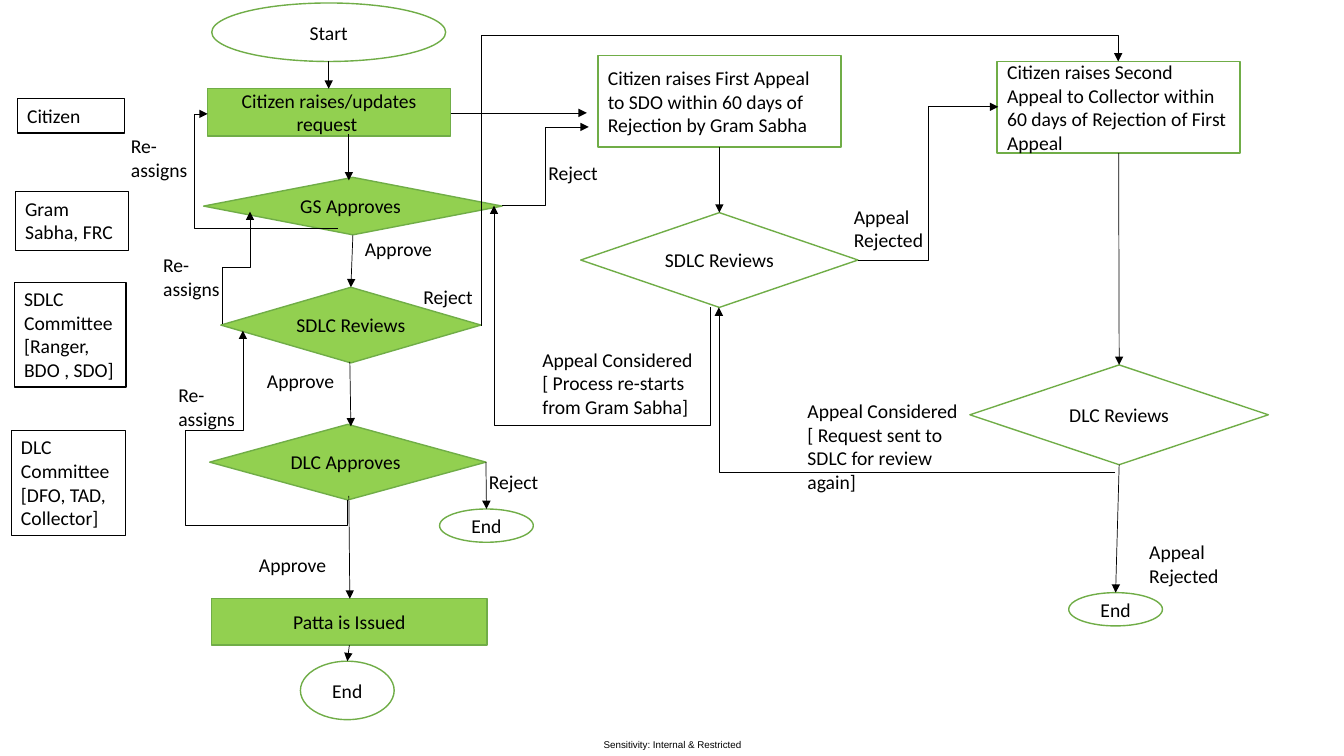
import pptx
import pptx.util
import pptx.dml.color
import pptx.enum.shapes
import pptx.enum.text
import pptx.oxml
import pptx.oxml.ns

RGBColor = pptx.dml.color.RGBColor
BLACK = RGBColor(0x00, 0x00, 0x00)
WHITE = RGBColor(0xFF, 0xFF, 0xFF)
LIME = RGBColor(0x92, 0xD0, 0x50)
GREEN = RGBColor(0x70, 0xAD, 0x47)

KIND = pptx.enum.shapes.MSO_SHAPE
BOX, RHOMB, OVAL = KIND.RECTANGLE, KIND.DIAMOND, KIND.OVAL
WIRE = pptx.enum.shapes.MSO_CONNECTOR
ALIGN = pptx.enum.text.PP_ALIGN
ANCHOR = pptx.enum.text.MSO_ANCHOR
FIT = pptx.enum.text.MSO_AUTO_SIZE

WIDE = pptx.util.Inches(13.33)
HIGH = pptx.util.Inches(7.5)
COLS, ROWS = 133.3, 75
TOP, LEFT, BASE, RIGHT = range(4)


def grid(x, y):
    return round(x * WIDE / COLS), round(y * HIGH / ROWS)


def write(shape, text, size=14, font="Calibri", color=BLACK,
          align=ALIGN.LEFT, anchor=ANCHOR.TOP, grow=False, inset=None):
    frame = shape.text_frame
    frame.text = text
    frame.word_wrap = True
    frame.vertical_anchor = anchor
    frame.auto_size = FIT.SHAPE_TO_FIT_TEXT if grow else FIT.NONE
    if inset is not None:
        frame.margin_left = frame.margin_right = inset
        frame.margin_top = frame.margin_bottom = inset
    for para in frame.paragraphs:
        para.alignment = align
        for run in para.runs:
            run.font.size = pptx.util.Pt(size)
            run.font.name = font
            run.font.color.rgb = color


def node(slide, kind, x, y, w, h, text, fill=WHITE, align=ALIGN.CENTER):
    shape = slide.shapes.add_shape(kind, *grid(x, y), *grid(w, h))
    shape.shadow.inherit = False
    shape.fill.solid()
    shape.fill.fore_color.rgb = fill
    shape.line.color.rgb = GREEN
    shape.line.width = pptx.util.Pt(1)
    write(shape, text, align=align, anchor=ANCHOR.MIDDLE)
    return shape


def label(slide, x, y, w, h, text, **style):
    shape = slide.shapes.add_textbox(*grid(x, y), *grid(w, h))
    write(shape, text, **{"grow": True, **style})
    return shape


def role(slide, x, y, w, h, text):
    shape = label(slide, x, y, w, h, text)
    shape.line.color.rgb = BLACK
    shape.line.width = pptx.util.Pt(0.75)


def wire(slide, kind, x1, y1, x2, y2):
    line = slide.shapes.add_connector(kind, *grid(x1, y1), *grid(x2, y2))
    line.line.color.rgb = BLACK
    line.line.width = pptx.util.Pt(0.5)
    head = pptx.oxml.parse_xml(
        "<a:tailEnd %s type='triangle'/>" % pptx.oxml.ns.nsdecls("a"))
    line.line._get_or_add_ln().append(head)
    line.element.spPr.append(pptx.oxml.parse_xml(
        "<a:effectLst %s/>" % pptx.oxml.ns.nsdecls("a")))
    return line


def arrow(slide, x1, y1, x2, y2):
    return wire(slide, WIRE.STRAIGHT, x1, y1, x2, y2)


def link(slide, first, last, side=BASE):
    line = arrow(slide, 0, 0, 1, 1)
    line.begin_connect(first, side)
    line.end_connect(last, TOP)


def elbow(slide, x, y, w, h, bends=3, turn=0, flip="", bias=()):
    x1, x2 = (x + w, x) if "h" in flip else (x, x + w)
    y1, y2 = (y + h, y) if "v" in flip else (y, y + h)
    props = wire(slide, WIRE.ELBOW, x1, y1, x2, y2).element.spPr
    props.find(pptx.oxml.ns.qn("a:xfrm")).set("rot", str(turn * 60000))
    shape = props.find(pptx.oxml.ns.qn("a:prstGeom"))
    shape.set("prst", f"bentConnector{bends}")
    guides = "".join(
        f"<a:gd name='adj{i}' fmla='val {round(part * 100000)}'/>"
        for i, part in enumerate(bias, 1))
    for child in list(shape):
        shape.remove(child)
    shape.append(pptx.oxml.parse_xml(
        f"<a:avLst {pptx.oxml.ns.nsdecls('a')}>{guides}</a:avLst>"))


def roles(slide):
    role(slide, 1.7, 9.8, 10.7, 3.4, "Citizen")
    role(slide, 1.5, 19, 11.2, 5.9, "Gram Sabha, FRC")
    role(slide, 1.4, 28, 11.1, 10.4, "SDLC Committee\n[Ranger, BDO , SDO]")
    role(slide, 1.1, 42.7, 11.4, 10.4, "DLC Committee\n[DFO, TAD, Collector]")


def claim(slide):
    node(slide, OVAL, 21, 0.3, 23.2, 5.8, "Start")
    node(slide, BOX, 20.6, 8.8, 24.1, 4.7, "Citizen raises/updates request ", LIME)
    gram = node(slide, RHOMB, 20.2, 17.6, 29.6, 5.7, "GS Approves ", LIME)
    review = node(slide, RHOMB, 21.9, 28.5, 25.8, 7.5, "SDLC Reviews ", LIME)
    board = node(slide, RHOMB, 20.8, 42.1, 27.4, 7.5, "DLC Approves ", LIME)
    patta = node(slide, BOX, 21, 59.4, 27.3, 4.6, "Patta is Issued", LIME)
    done = node(slide, OVAL, 29.8, 65.6, 9.3, 5.8, "End")
    stop = node(slide, OVAL, 43.6, 50.5, 9.3, 3.3, "End")
    link(slide, gram, review)
    link(slide, patta, done)
    link(slide, board, stop, RIGHT)
    arrow(slide, 32.6, 6.1, 32.6, 8.8)
    arrow(slide, 34.6, 13.3, 34.6, 17.9)
    arrow(slide, 34.7, 35.9, 34.8, 42.3)
    arrow(slide, 34.6, 49.2, 34.7, 59.4)
    elbow(slide, 20.6, 11.3, 12.9, 11.4, turn=180, bias=[1.1])
    elbow(slide, 17.9, 25.2, 11.1, 2.7, turn=90, flip="hv")
    elbow(slide, 20.9, 36, 16.8, 10.4, bends=5, turn=90, flip="h",
          bias=[-0.15, 1.55, 0.41])


def appeals(slide):
    first = node(slide, BOX, 59.3, 5.5, 24.1, 9.1,
                 "Citizen raises First Appeal to SDO within 60 days of "
                 "Rejection by Gram Sabha", align=ALIGN.LEFT)
    second = node(slide, BOX, 98.9, 6.1, 24.1, 9.1,
                  "Citizen raises Second Appeal to Collector within 60 days of "
                  "Rejection of First Appeal", align=ALIGN.LEFT)
    review = node(slide, RHOMB, 57.6, 21.1, 27.5, 9.4, "SDLC Reviews")
    board = node(slide, RHOMB, 96.2, 36.2, 29.6, 9.9, "DLC Reviews")
    stop = node(slide, OVAL, 106, 58.8, 9.3, 3.3, "End")
    link(slide, first, review)
    link(slide, second, board)
    link(slide, board, stop)
    arrow(slide, 44.7, 11.2, 58.2, 11.2)
    elbow(slide, 49.8, 12.6, 8.6, 7.8, flip="v")
    elbow(slide, 85.1, 10.6, 13.9, 15.2, flip="v")
    elbow(slide, 54.7, 14.7, 10.1, 21.5, bends=4, turn=90, flip="h",
          bias=[-1.16, 1])
    elbow(slide, 71.3, 30.5, 39.3, 16.4, bends=2, turn=180)
    elbow(slide, 47.7, 6.1, 63.2, 26.2, bends=4, flip="v", bias=[0, 1.1])


def labels(slide):
    for x, y in ((35.2, 23), (25.5, 36.1), (24.7, 54.4)):
        label(slide, x, y, 10, 3.4, "Approve")
    for x, y in ((53.4, 15.5), (41, 27.8), (47.5, 46.1)):
        label(slide, x, y, 10, 3.4, "Reject")
    for x, y in ((12, 12.8), (15.2, 24.6), (16.7, 37.5)):
        label(slide, x, y, 10, 5.7, "Re-assigns")
    for x, y in ((83.7, 19.8), (113, 53.1)):
        label(slide, x, y, 10, 5.7, "Appeal Rejected")
    label(slide, 52.8, 34, 18.9, 8.1,
          "Appeal Considered [ Process re-starts from Gram Sabha]")
    label(slide, 79.1, 39.1, 18.9, 8.1,
          "Appeal Considered [ Request sent to SDLC for review again]")
    label(slide, 58.5, 72.8, 16.4, 2.2, "Sensitivity: Internal & Restricted",
          size=7, font="Arial", align=ALIGN.CENTER, anchor=ANCHOR.MIDDLE,
          grow=False, inset=0)


def main():
    deck = pptx.Presentation()
    deck.slide_width, deck.slide_height = WIDE, HIGH
    slide = deck.slides.add_slide(deck.slide_layouts[6])
    roles(slide)
    claim(slide)
    appeals(slide)
    labels(slide)
    deck.save("out.pptx")


if __name__ == "__main__":
    main()
